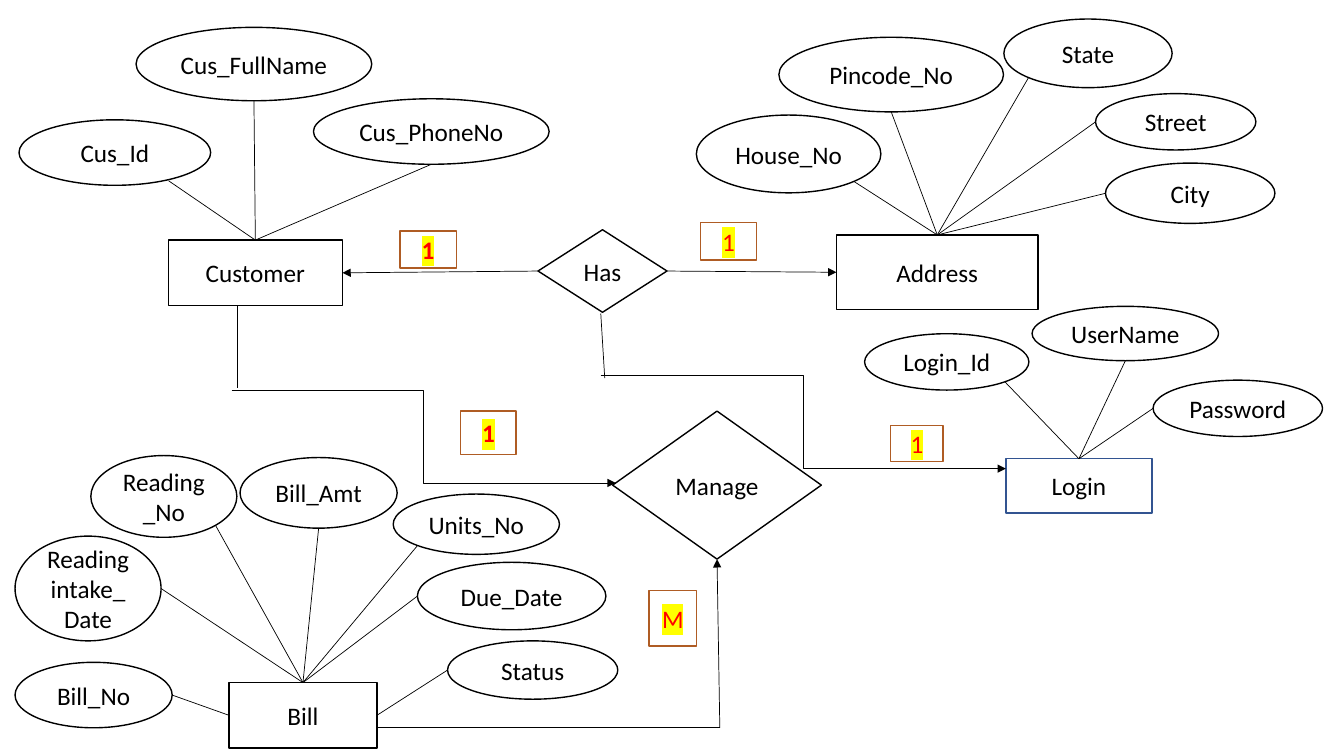
"""Build an entity-relationship slide for an electricity billing system."""
from dataclasses import dataclass

from lxml import etree
from pptx import Presentation
from pptx.dml.color import RGBColor
from pptx.enum.shapes import MSO_CONNECTOR as LINE, MSO_SHAPE as SHAPE
from pptx.enum.text import MSO_ANCHOR, PP_ALIGN
from pptx.oxml.ns import qn
from pptx.util import Cm, Pt

COLORS = {"ink": "000000", "paper": "FFFFFF", "login": "325491",
          "frame": "AF5C24", "count": "FF0000", "marker": "FFFF00"}

SITES = {"t": (0.5, 0), "b": (0.5, 1), "l": (0, 0.5), "r": (1, 0.5),
         "bl": (0.146, 0.854), "br": (0.854, 0.854), "b+": (0.78, 0.93)}


@dataclass(frozen=True)
class Node:
    """A labelled shape, with its box in centimetres."""
    text: str
    x: float
    y: float
    w: float
    h: float
    kind: SHAPE = SHAPE.OVAL
    line: str = "ink"
    fill: str = "paper"
    color: str = "ink"
    bold: bool = False
    mark: str = ""

    def site(self, name: str) -> tuple[float, float]:
        """Return the named connection point."""
        fx, fy = SITES[name]
        return self.x + fx * self.w, self.y + fy * self.h


@dataclass(frozen=True)
class Attribute:
    """An attribute oval and the points its link joins."""
    node: Node
    site: str
    hub: str = "t"


@dataclass(frozen=True)
class Link:
    """A line between two points in centimetres."""
    start: tuple[float, float]
    end: tuple[float, float]
    arrow: bool = False
    kind: LINE = LINE.STRAIGHT


def rgb(name: str) -> RGBColor:
    """Look up a colour."""
    return RGBColor.from_string(COLORS[name])


def add_text(tf, text: str, *, color: str = "ink", bold: bool = False, mark: str = "") -> None:
    """Write centred text with the given format."""
    tf.word_wrap = True
    tf.vertical_anchor = MSO_ANCHOR.MIDDLE
    p = tf.paragraphs[0]
    p.alignment = PP_ALIGN.CENTER
    r = p.add_run()
    r.text = text
    r.font.name, r.font.size, r.font.bold = "Calibri", Pt(18), bold
    r.font.color.rgb = rgb(color)
    if mark:
        highlight = etree.Element(qn("a:highlight"))
        etree.SubElement(highlight, qn("a:srgbClr")).set("val", COLORS[mark])
        r.font._element.find(qn("a:solidFill")).addnext(highlight)


def add_node(s, node: Node) -> None:
    """Draw a labelled shape."""
    sp = s.shapes.add_shape(node.kind, Cm(node.x), Cm(node.y), Cm(node.w), Cm(node.h))
    sp.shadow.inherit = False
    if node.fill:
        sp.fill.solid()
        sp.fill.fore_color.rgb = rgb(node.fill)
    else:
        sp.fill.background()
    sp.line.color.rgb = rgb(node.line)
    sp.line.width = Pt(1)
    add_text(sp.text_frame, node.text, color=node.color, bold=node.bold, mark=node.mark)


def add_link(s, link: Link) -> None:
    """Draw a line, with an arrowhead at its end if asked."""
    cx = s.shapes.add_connector(link.kind, *map(Cm, link.start + link.end))
    cx.line.color.rgb = rgb("ink")
    cx.line.width = Pt(0.5)
    if link.arrow:
        etree.SubElement(cx.line._get_or_add_ln(), qn("a:tailEnd")).set("type", "triangle")
    etree.SubElement(cx._element.spPr, qn("a:effectLst"))


def count(text: str, x: float, y: float, w: float, h: float, bold: bool = False) -> Node:
    """Make a cardinality box."""
    return Node(text, x, y, w, h, SHAPE.RECTANGLE, "frame", "", "count", bold, "marker")


customer = Node("Customer", 4.24, 6.05, 4.39, 1.65, SHAPE.RECTANGLE)
address = Node("Address", 21.08, 5.92, 5.08, 1.88, SHAPE.RECTANGLE)
bill = Node("Bill", 5.77, 17.2, 3.73, 1.65, SHAPE.RECTANGLE)
login = Node("Login", 25.35, 11.56, 3.68, 1.37, SHAPE.RECTANGLE, "login", "")
has = Node("Has", 13.56, 5.79, 3.25, 2.08, SHAPE.DIAMOND)
manage = Node("Manage", 15.44, 10.36, 5.26, 3.73, SHAPE.DIAMOND)

ENTITIES = [
    (customer, [
        Attribute(Node("Cus_FullName", 3.43, 0.69, 5.94, 1.85), "b"),
        Attribute(Node("Cus_PhoneNo", 7.9, 2.49, 5.94, 1.65), "b"),
        Attribute(Node("Cus_Id", 0.48, 3.02, 4.83, 1.65), "b+"),
    ]),
    (address, [
        Attribute(Node("House_No", 17.55, 2.9, 4.65, 1.96), "br"),
        Attribute(Node("Pincode_No", 19.63, 0.94, 5.66, 1.88), "b"),
        Attribute(Node("State", 25.3, 0.48, 4.24, 1.73), "bl"),
        Attribute(Node("Street", 27.61, 2.36, 4.04, 1.42), "l"),
        Attribute(Node("City", 27.86, 4.11, 4.27, 1.52), "l"),
    ]),
    (bill, [
        Attribute(Node("Bill_No", 0.38, 16.69, 3.96, 1.65), "r", "l"),
        Attribute(Node("Readingintake_Date", 0.38, 13.51, 3.68, 2.64), "r"),
        Attribute(Node("Reading_No", 2.29, 11.48, 3.68, 2.06), "br"),
        Attribute(Node("Bill_Amt", 6.05, 11.53, 3.96, 1.78), "b"),
        Attribute(Node("Units_No", 9.91, 12.45, 4.19, 1.52), "bl"),
        Attribute(Node("Due_Date", 10.52, 14.17, 4.75, 1.7), "l"),
        Attribute(Node("Status", 11.28, 16.15, 4.29, 1.47), "l", "r"),
    ]),
    (login, [
        Attribute(Node("Login_Id", 21.79, 8.41, 4.14, 1.42), "br"),
        Attribute(Node("UserName", 26.01, 7.72, 4.7, 1.37), "b"),
        Attribute(Node("Password", 29.06, 9.58, 4.27, 1.42), "l"),
    ]),
]

COUNTS = [
    count("1", 17.65, 5.61, 1.42, 0.94),
    count("1", 22.45, 10.72, 1.32, 0.91),
    count("1", 11.61, 10.36, 1.4, 1.09, bold=True),
    count("1", 10.08, 5.82, 1.42, 0.94, bold=True),
    count("M", 16.36, 14.88, 1.19, 1.4),
]

bill_corner = (18.14, 18.34)
RELATIONS = [
    Link(has.site("l"), customer.site("r"), arrow=True),
    Link(has.site("r"), address.site("l"), arrow=True),
    Link((5.97, 7.7), (5.97, 9.78)),
    Link((5.84, 9.83), (15.52, 12.17), arrow=True, kind=LINE.ELBOW),
    Link((15.14, 7.9), (15.24, 9.53)),
    Link((15.14, 9.45), (25.35, 11.81), arrow=True, kind=LINE.ELBOW),
    Link((9.5, 18.34), bill_corner),
    Link(bill_corner, manage.site("b"), arrow=True),
]

prs = Presentation()
prs.slide_width, prs.slide_height = Cm(33.87), Cm(19.05)
s = prs.slides.add_slide(prs.slide_layouts[6])

for entity, attributes in ENTITIES:
    add_node(s, entity)
    for attribute in attributes:
        add_node(s, attribute.node)
        add_link(s, Link(attribute.node.site(attribute.site), entity.site(attribute.hub)))
for node in [has, manage, *COUNTS]:
    add_node(s, node)
for relation in RELATIONS:
    add_link(s, relation)

prs.save("out.pptx")
